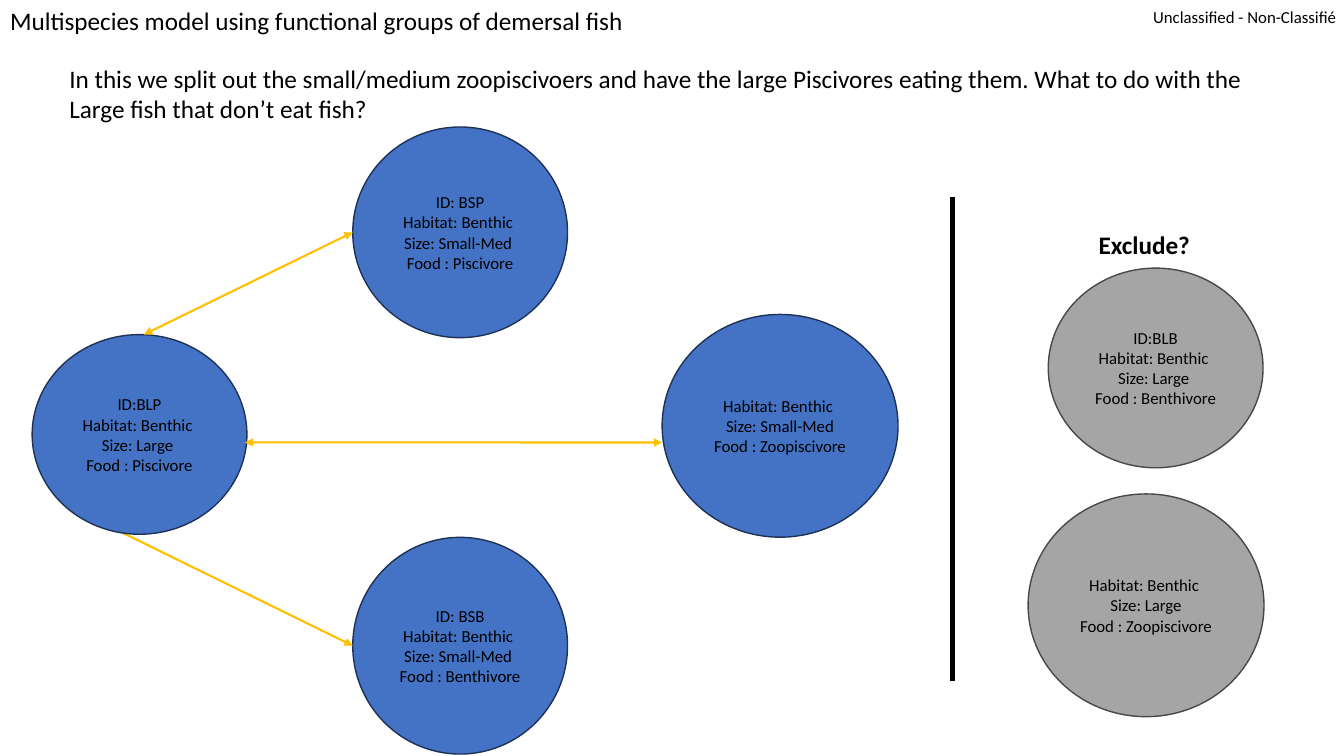
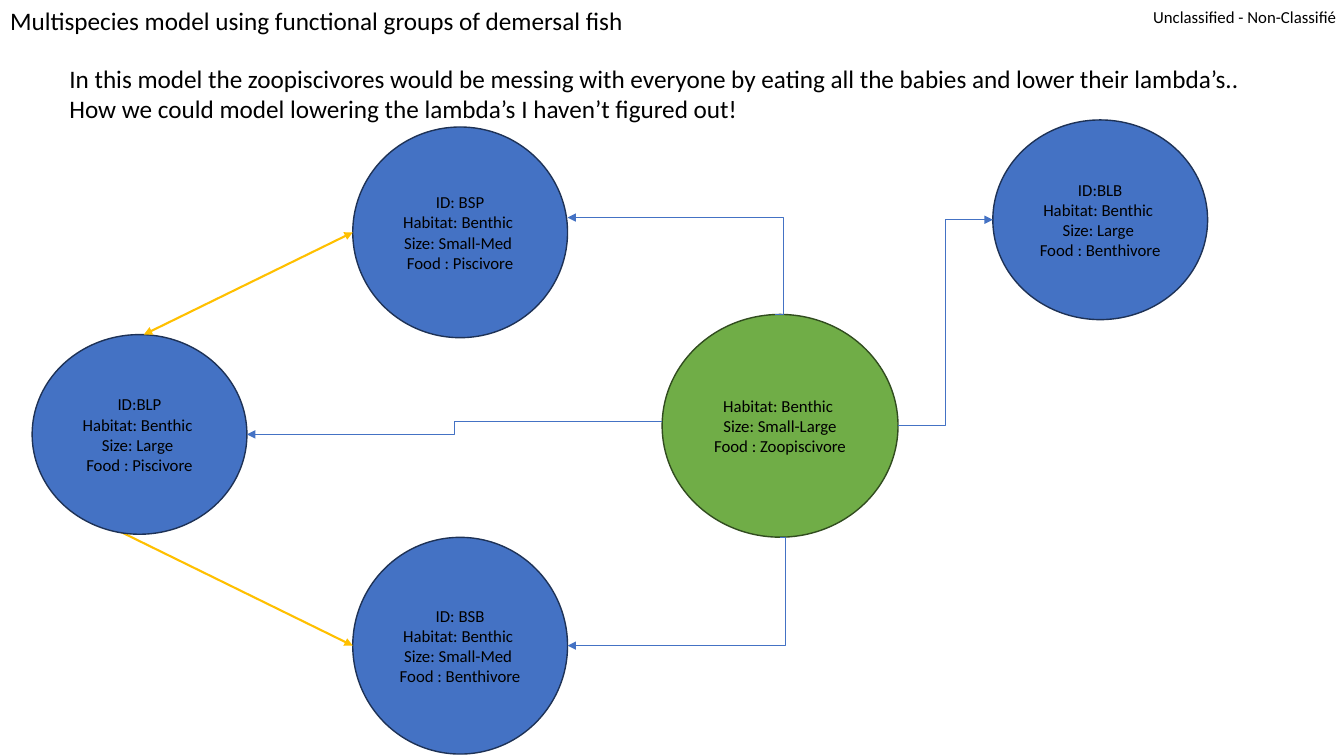
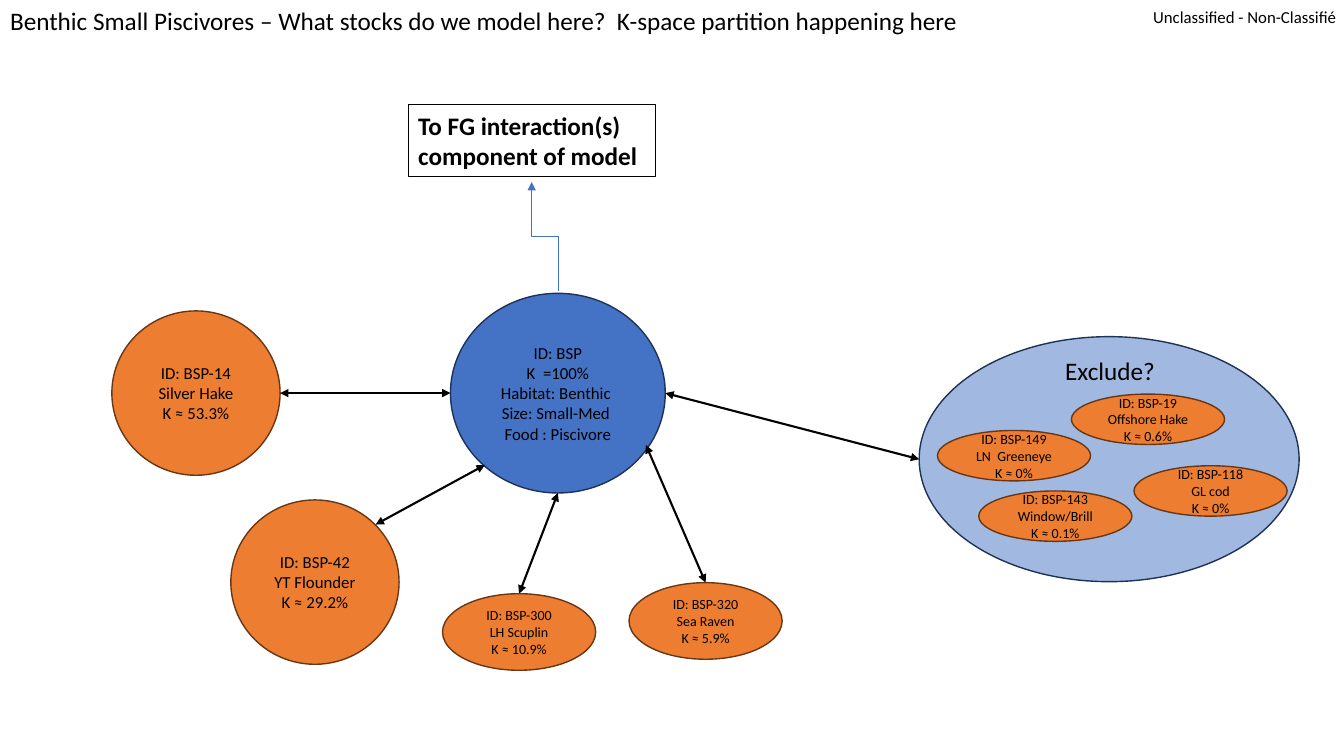
from dataclasses import dataclass
from lxml.etree import SubElement
from pptx import Presentation
from pptx.dml.color import RGBColor
from pptx.enum.shapes import MSO_CONNECTOR as Link, MSO_SHAPE as Preset
from pptx.enum.text import MSO_ANCHOR as Anchor, MSO_AUTO_SIZE as AutoSize, PP_ALIGN as Align
from pptx.oxml.ns import qn
from pptx.util import Pt


@dataclass(frozen=True)
class Theme:
    font: str = "Calibri"
    ink: str = "000000"
    link: str = "4472C4"
    predation: str = "FFC000"
    # Fill and outline of each kind of group
    blue: tuple = ("4472C4", "1E3256")
    green: tuple = ("70AD47", "314C1F")
    grey: tuple = ("A5A5A5", "484848")
    orange: tuple = ("ED7D31", "683715")
    heading: float = 18
    label: float = 12
    small: float = 10


THEME = Theme()


@dataclass(frozen=True)
class Box:
    left: float
    top: float
    width: float
    height: float

    def inside(self, left, top, width, height):
        return Box(self.left + left, self.top + top, width, height)

    def at(self, across, down):
        """Point at the given fractions of the width and height."""
        return self.left + across * self.width, self.top + down * self.height

    def lengths(self):
        return Pt(self.left), Pt(self.top), Pt(self.width), Pt(self.height)


PAGE = Box(0, 0, 960, 540)
LARGE = (153.4, 142.6)
ZOO = (168.5, 159.1)
STOCK = (120.2, 117.4)
MINOR = (109.4, 54.7)
EXCLUDED = (109.4, 36)

FOOD_WEB_TITLE = "Multispecies model using functional groups of demersal fish"
HABITAT = "Habitat: Benthic "
SMALL_MED = "Size: Small-Med "
PISCIVORE = "Food : Piscivore"
BENTHIVORE = "Food : Benthivore"
ZOOPISCIVORE = "Food : Zoopiscivore"
BSP = ["ID: BSP", HABITAT, SMALL_MED, PISCIVORE]
BSB = ["ID: BSB", HABITAT, SMALL_MED, BENTHIVORE]
BLP = ["ID:BLP", HABITAT, "Size: Large ", PISCIVORE]
BLB = ["ID:BLB", HABITAT, "Size: Large ", BENTHIVORE]


# Text and shapes
def color(code):
    return RGBColor.from_string(code)


def write(frame, lines, size, align=Align.LEFT, bold=False):
    frame.word_wrap = True
    frame.auto_size = AutoSize.NONE
    for index, line in enumerate(lines):
        para = frame.add_paragraph() if index else frame.paragraphs[0]
        para.alignment = align
        span = para.add_run()
        span.text = line
        font = span.font
        font.name, font.size, font.bold = THEME.font, Pt(size), bold
        font.color.rgb = color(THEME.ink)


def add_text(shapes, box, lines, size=THEME.heading, bold=False):
    text = shapes.add_textbox(*box.lengths())
    write(text.text_frame, lines, size, bold=bold)
    return text


def add_oval(shapes, box, lines, colors, size=THEME.label):
    oval = shapes.add_shape(Preset.OVAL, *box.lengths())
    oval.shadow.inherit = False
    oval.fill.solid()
    oval.fill.fore_color.rgb = color(colors[0])
    oval.line.color.rgb = color(colors[1])
    oval.line.width = Pt(1)
    oval.text_frame.vertical_anchor = Anchor.MIDDLE
    write(oval.text_frame, lines, size, Align.CENTER)
    return oval


# Lines and arrows
def add_line(shapes, start, end, code, width, heads=(), kind=Link.STRAIGHT):
    line = shapes.add_connector(kind, *map(Pt, start + end))
    line.line.color.rgb = color(code)
    line.line.width = Pt(width)
    properties = line.element.spPr
    outline = properties.find(qn("a:ln"))
    for head in heads:
        SubElement(outline, qn(f"a:{head}")).set("type", "triangle")
    SubElement(properties, qn("a:effectLst"))
    return line


def add_double_arrow(shapes, start, end, code):
    return add_line(shapes, start, end, code, 1.5, ("headEnd", "tailEnd"))


def add_elbow(shapes, start, end, bend=0.5, vertical_first=False):
    if vertical_first:
        # Lay the path on its side, then turn it about its centre
        mid_x, mid_y = (start[0] + end[0]) / 2, (start[1] + end[1]) / 2
        start, end = [(mid_x - (y - mid_y), mid_y + (x - mid_x)) for x, y in (start, end)]
    elbow = add_line(shapes, start, end, THEME.link, 0.5, ("tailEnd",), Link.ELBOW)
    properties = elbow.element.spPr
    if vertical_first:
        properties.find(qn("a:xfrm")).set("rot", str(270 * 60000))
    geometry = properties.find(qn("a:prstGeom"))
    values = geometry.find(qn("a:avLst"))
    if values is None:
        values = SubElement(geometry, qn("a:avLst"))
    guide = SubElement(values, qn("a:gd"))
    guide.set("name", "adj1")
    guide.set("fmla", f"val {round(bend * 100000)}")


# Shared page frame
def prepare_layout(deck):
    layout = deck.slide_layouts.get_by_name("Title Only")
    title = layout.placeholders[0]
    title.left, title.top, title.width, title.height = PAGE.inside(0, 0, 960, 28.8).lengths()
    return layout


def add_classification(page, layout):
    """Build the marking and hand it to the layout, so every page shows it."""
    mark = add_text(page.shapes, PAGE.inside(823.7, 5, 136, 14.4),
                    ["Unclassified - Non-Classifié"], THEME.label)
    frame = mark.text_frame
    frame.margin_left = frame.margin_right = frame.margin_top = frame.margin_bottom = 0
    layout.shapes.element.append(mark.element)


def add_page(deck, layout, title):
    page = deck.slides.add_slide(layout)
    frame = page.shapes.title.text_frame
    frame.vertical_anchor = Anchor.TOP
    write(frame, [title], THEME.heading)
    return page


# Regions
def add_food_web(shapes, box, zoo_size, zoo_colors):
    """Draw the four linked groups and return their boxes by name."""
    spots = {
        "BSP": box.inside(229, 0, 153.4, 150.5),
        "BSB": box.inside(229, 293.1, 153.4, 154.8),
        "BLP": box.inside(0, 148.3, *LARGE),
        "zoo": box.inside(450, 133.9, *ZOO),
    }
    large = spots["BLP"]
    add_oval(shapes, spots["BSB"], BSB, THEME.blue)
    add_oval(shapes, spots["BSP"], BSP, THEME.blue)
    add_double_arrow(shapes, large.at(0.15, 0.85), spots["BSB"].at(0, 0.5), THEME.predation)
    add_oval(shapes, large, BLP, THEME.blue)
    add_double_arrow(shapes, large.at(0.52, 0), spots["BSP"].at(0, 0.5), THEME.predation)
    add_oval(shapes, spots["zoo"], [HABITAT, zoo_size, ZOOPISCIVORE], zoo_colors)
    return spots


def add_excluded_groups(shapes, box):
    add_line(shapes, box.at(0, 0), box.at(0, 0.93), THEME.ink, 4)
    add_text(shapes, box.inside(97.2, 20.2, 84, 28.8), ["Exclude?"], bold=True)
    add_oval(shapes, box.inside(68.4, 51.1, *LARGE), BLB, THEME.grey)
    add_oval(shapes, box.inside(54, 212.4, *ZOO),
             [HABITAT, "Size: Large", ZOOPISCIVORE], THEME.grey)


def add_zoo_links(shapes, spots):
    zoo = spots["zoo"]
    add_elbow(shapes, zoo.at(1, 0.5), spots["BLB"].at(0, 0.5))
    add_elbow(shapes, zoo.at(0, 0.48), spots["BLP"].at(1, 0.5))
    add_elbow(shapes, zoo.at(0.5, 1), spots["BSB"].at(1, 0.5), -0.026)
    add_elbow(shapes, zoo.at(0.48, 0), spots["BSP"].at(1, 0.43), -0.037)


def add_excluded_stocks(shapes, box):
    group = shapes.add_group_shape().shapes
    backdrop = add_oval(group, box, [], THEME.blue)
    tint = backdrop.element.spPr.find(qn("a:solidFill"))[0]
    SubElement(tint, qn("a:alpha")).set("val", "50000")
    stocks = [
        (108.7, 41, "ID: BSP-19", "Offshore Hake", "K ≈ 0.6%"),
        (153.4, 92.2, "ID: BSP-118", "GL cod", "K ≈ 0%"),
        (42.5, 110.2, "ID: BSP-143", "Window/Brill", "K ≈ 0.1%"),
        (13, 67, "ID: BSP-149", "LN  Greeneye", "K ≈ 0%"),
    ]
    for left, top, *lines in stocks:
        add_oval(group, box.inside(left, top, *EXCLUDED), lines, THEME.orange, THEME.small)
    add_text(group, box.inside(97.2, 10.1, 86.4, 28.8), ["Exclude?"])


def add_stock_partition(shapes, box):
    hub = box.inside(321.8, 209.5, *LARGE)
    excluded = box.inside(656.6, 240.5, 271.4, 175)
    # Place, lettering, text, and both ends of the arrow from the hub
    stocks = [
        (box.inside(79.9, 222.1, *STOCK), THEME.label,
         ["ID: BSP-14", "Silver Hake", "K ≈ 53.3%"], (0, 0.5), (1, 0.5)),
        (box.inside(164.9, 357.1, *STOCK), THEME.label,
         ["ID: BSP-42", "YT Flounder", "K ≈ 29.2%"], (0.16, 0.86), (0.86, 0.15)),
        (box.inside(316.1, 424.1, *MINOR), THEME.small,
         ["ID: BSP-300", "LH Scuplin", "K ≈ 10.9%"], (0.5, 1), (0.5, 0)),
        (box.inside(449.3, 416.2, *MINOR), THEME.small,
         ["ID: BSP-320", "Sea Raven", "K ≈ 5.9%"], (0.91, 0.76), (0.5, 0)),
    ]
    add_oval(shapes, hub, [BSP[0], "K  =100%", *BSP[1:]], THEME.blue)
    for spot, size, lines, start, end in stocks:
        add_double_arrow(shapes, hub.at(*start), spot.at(*end), THEME.ink)
        add_oval(shapes, spot, lines, THEME.orange, size)
    add_double_arrow(shapes, hub.at(1, 0.5), excluded.at(0, 0.5), THEME.ink)
    add_excluded_stocks(shapes, excluded)

    # Way out to the rest of the model
    outlet = box.inside(291.6, 74.9, 176.4, 51.1)
    add_elbow(shapes, hub.at(0.5, -0.01), outlet.at(0.5, 1.08), vertical_first=True)
    label = add_text(shapes, outlet, ["To FG interaction(s) component of model"], bold=True)
    label.line.color.rgb = color(THEME.ink)
    label.line.width = Pt(0.75)


def main():
    deck = Presentation()
    deck.slide_width, deck.slide_height = Pt(PAGE.width), Pt(PAGE.height)
    layout = prepare_layout(deck)
    note_box = PAGE.inside(42.5, 41.8, 870, 51.1)
    web_box = PAGE.inside(23, 90.7, 618.5, 447.9)

    # Large fish that eat no fish set aside
    page = add_page(deck, layout, FOOD_WEB_TITLE)
    add_classification(page, layout)
    spots = add_food_web(page.shapes, web_box, "Size: Small-Med", THEME.blue)
    add_text(page.shapes, note_box, [
        "In this we split out the small/medium zoopiscivoers and have the large "
        "Piscivores eating them. What to do with the",
        "Large fish that don’t eat fish?"])
    add_double_arrow(page.shapes, spots["BLP"].at(0.99, 0.54),
                     spots["zoo"].at(0, 0.575), THEME.predation)
    add_excluded_groups(page.shapes, PAGE.inside(680.4, 140.4, 222.5, 372))

    # Zoopiscivores acting on every group
    page = add_page(deck, layout, FOOD_WEB_TITLE)
    spots = add_food_web(page.shapes, web_box, "Size: Small-Large", THEME.green)
    spots["BLB"] = PAGE.inside(709.2, 85.7, *LARGE)
    add_oval(page.shapes, spots["BLB"], BLB, THEME.blue)
    add_text(page.shapes, note_box, [
        "In this model the zoopiscivores would be messing with everyone by eating "
        "all the babies and lower their lambda’s..",
        "How we could model lowering the lambda’s I haven’t figured out!"])
    add_zoo_links(page.shapes, spots)

    # Stocks within one group
    page = add_page(deck, layout, "Benthic Small Piscivores – What stocks do we model here?  "
                                  "K-space partition happening here")
    add_stock_partition(page.shapes, PAGE)

    deck.save("out.pptx")


if __name__ == "__main__":
    main()
